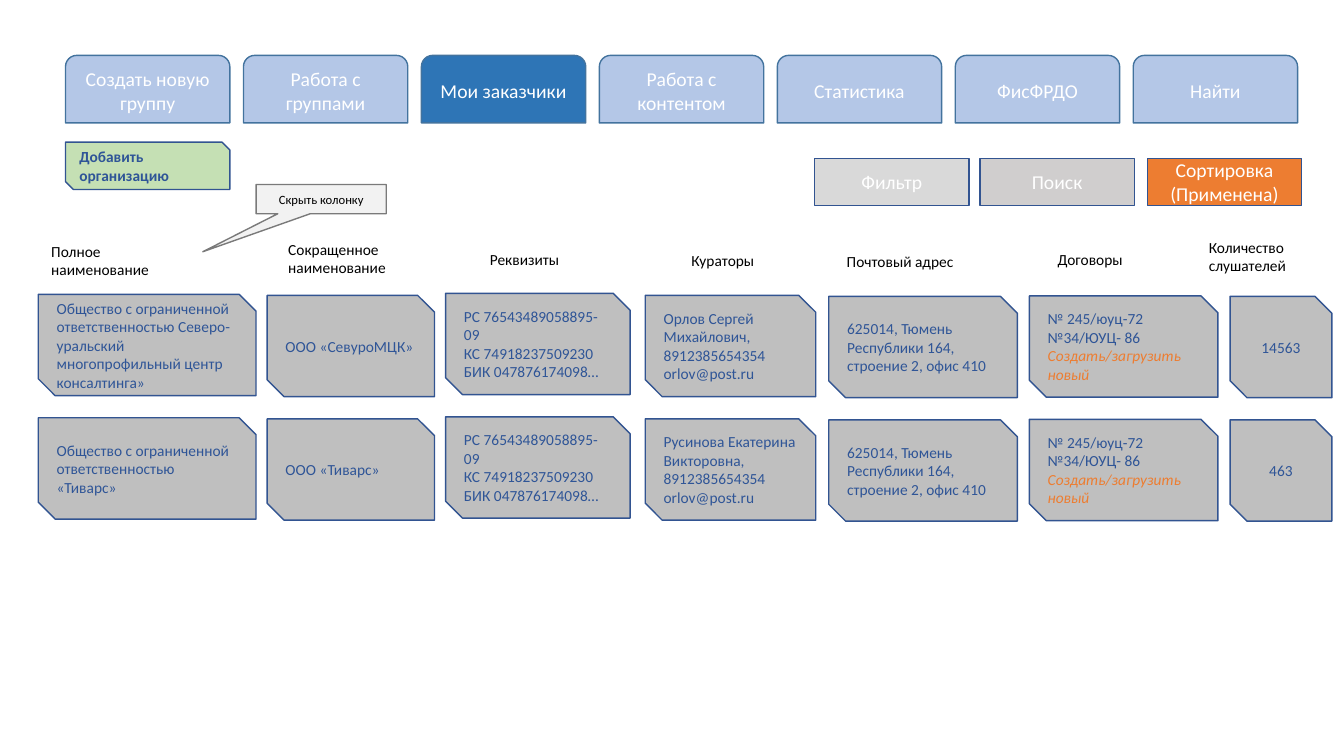
import pptx
import pptx.util
import pptx.dml.color
import pptx.enum.shapes
import pptx.enum.text

RGBColor = pptx.dml.color.RGBColor
SHAPE = pptx.enum.shapes.MSO_SHAPE
ALIGN = pptx.enum.text.PP_ALIGN
ANCHOR = pptx.enum.text.MSO_ANCHOR

WHITE = RGBColor(0xFF, 0xFF, 0xFF)
BLACK = RGBColor(0x00, 0x00, 0x00)
NAVY = RGBColor(0x2F, 0x55, 0x97)
EDGE = RGBColor(0x32, 0x54, 0x91)
TAB_EDGE = RGBColor(0x43, 0x73, 0x9E)
TAB = RGBColor(0xB4, 0xC7, 0xE7)
TAB_ACTIVE = RGBColor(0x2E, 0x75, 0xB6)
GREEN = RGBColor(0xC5, 0xE0, 0xB4)
GREY = RGBColor(0xBF, 0xBF, 0xBF)
FILTER = RGBColor(0xD9, 0xD9, 0xD9)
SEARCH = RGBColor(0xD0, 0xCE, 0xCE)
ORANGE = RGBColor(0xED, 0x7D, 0x31)
NOTE = RGBColor(0xF2, 0xF2, 0xF2)
NOTE_EDGE = RGBColor(0x7A, 0x7A, 0x7A)

FONT = "Calibri"
GRID = pptx.util.Inches(0.1)

TABS = ["Создать новую группу", "Работа с группами", "Мои заказчики",
        "Работа с контентом", "Статистика", "ФисФРДО", "Найти"]
ACTIVE_TAB = "Мои заказчики"
TAB_LEFT, TAB_STEP = 6.5, 17.65

BUTTONS = [
    (80.8, FILTER, ["Фильтр"]),
    (97.2, SEARCH, ["Поиск"]),
    (113.8, ORANGE, ["Сортировка", "(Применена)"]),
]

HEADERS = [
    (4.1, 23.5, 11.8, ["Полное", "наименование"]),
    (27.6, 23.3, 11.8, ["Сокращенное", "наименование"]),
    (47.6, 24.3, 9, ["Реквизиты"]),
    (67.6, 24.4, 8.3, ["Кураторы"]),
    (83, 24.5, 12.7, ["Почтовый адрес"]),
    (103.9, 24.3, 8.5, ["Договоры"]),
    (118.9, 23.1, 10.1, ["Количество", "слушателей"]),
]

COLUMNS = [(3.8, 29.2, 21.6), (26.5, 29.3, 16.6), (44.2, 29.1, 18.3),
           (64, 29.3, 16.9), (82.2, 29.4, 18.7), (102.1, 29.35, 18.7),
           (122, 29.4, 10.1)]
ROW_STEP, CARD_HEIGHT = 12.25, 10.05

ACCOUNT = ["РС 76543489058895-09", "КС 74918237509230", "БИК 047876174098…"]
ADDRESS = ["625014, Тюмень Республики 164, строение 2, офис 410"]
CONTRACTS = ["№ 245/юуц-72", "№34/ЮУЦ- 86"]
CONTACT = ["8912385654354", "orlov@post.ru"]
NEW_CONTRACT = ["Создать/загрузить новый", "Создать/загрузить", "новый"]

CUSTOMERS = [
    [["Общество с ограниченной ответственностью Северо-уральский "
      "многопрофильный центр консалтинга»"],
     ["ООО «СевуроМЦК»"], ACCOUNT, ["Орлов Сергей Михайлович,"] + CONTACT,
     ADDRESS, CONTRACTS + NEW_CONTRACT[:1], ["14563"]],
    [["Общество с ограниченной ответственностью «Тиварс»"],
     ["ООО «Тиварс»"], ACCOUNT,
     ["Русинова Екатерина Викторовна,"] + CONTACT,
     ADDRESS, CONTRACTS + NEW_CONTRACT[1:], ["463"]],
]


def cells(*counts):
    return [round(n * GRID) for n in counts]


def write(tf, lines, size, color, align=ALIGN.LEFT, bold=False):
    for i, line in enumerate(lines):
        p = tf.paragraphs[0] if i == 0 else tf.add_paragraph()
        p.alignment = align
        r = p.add_run()
        r.text = line
        r.font.name = FONT
        r.font.size = pptx.util.Pt(size)
        r.font.bold = bold
        is_link = line in NEW_CONTRACT
        r.font.italic = is_link
        r.font.color.rgb = ORANGE if is_link else color


def add_box(s, kind, box, fill, edge, lines, size, color,
            align=ALIGN.CENTER, bold=False):
    sp = s.shapes.add_shape(kind, *cells(*box))
    sp.shadow.inherit = False
    sp.fill.solid()
    sp.fill.fore_color.rgb = fill
    sp.line.color.rgb = edge
    sp.line.width = pptx.util.Pt(1)
    tf = sp.text_frame
    tf.word_wrap = True
    tf.vertical_anchor = ANCHOR.MIDDLE
    write(tf, lines, size, color, align, bold)
    return sp


def add_header(s, left, top, width, lines):
    height = 2.9 if len(lines) == 1 else 4.7
    tf = s.shapes.add_textbox(*cells(left, top, width, height)).text_frame
    tf.word_wrap = False
    tf.auto_size = pptx.enum.text.MSO_AUTO_SIZE.SHAPE_TO_FIT_TEXT
    write(tf, lines, 11, BLACK)


def add_tabs(s):
    for i, label in enumerate(TABS):
        fill = TAB_ACTIVE if label == ACTIVE_TAB else TAB
        add_box(s, SHAPE.ROUND_2_SAME_RECTANGLE,
                (TAB_LEFT + i * TAB_STEP, 5.5, 16.3, 6.7),
                fill, TAB_EDGE, [label], 14, WHITE)


def add_customers(s):
    for row, customer in enumerate(CUSTOMERS):
        for (left, top, width), lines in zip(COLUMNS, customer):
            align = ALIGN.CENTER if lines[0].isdigit() else ALIGN.LEFT
            add_box(s, SHAPE.SNIP_2_DIAG_RECTANGLE,
                    (left, top + row * ROW_STEP, width, CARD_HEIGHT),
                    GREY, EDGE, lines, 11, NAVY, align)


def main():
    prs = pptx.Presentation()
    prs.slide_width = pptx.util.Inches(13.33)
    prs.slide_height = pptx.util.Inches(7.5)
    s = prs.slides.add_slide(prs.slide_layouts[6])
    add_tabs(s)
    add_box(s, SHAPE.SNIP_2_DIAG_RECTANGLE, (6.5, 14.1, 16.3, 4.7), GREEN,
            EDGE, ["Добавить организацию"], 11, NAVY, ALIGN.LEFT, True)
    for left, fill, lines in BUTTONS:
        add_box(s, SHAPE.RECTANGLE, (left, 15.7, 15.3, 4.7), fill, EDGE,
                lines, 14, WHITE)
    for header in HEADERS:
        add_header(s, *header)
    add_customers(s)
    callout = add_box(s, SHAPE.RECTANGULAR_CALLOUT, (25.4, 18.3, 12.9, 2.9),
                      NOTE, NOTE_EDGE, ["Скрыть колонку"], 9, BLACK)
    callout.adjustments[0] = -0.91
    callout.adjustments[1] = 1.8
    prs.save("out.pptx")


if __name__ == "__main__":
    main()
